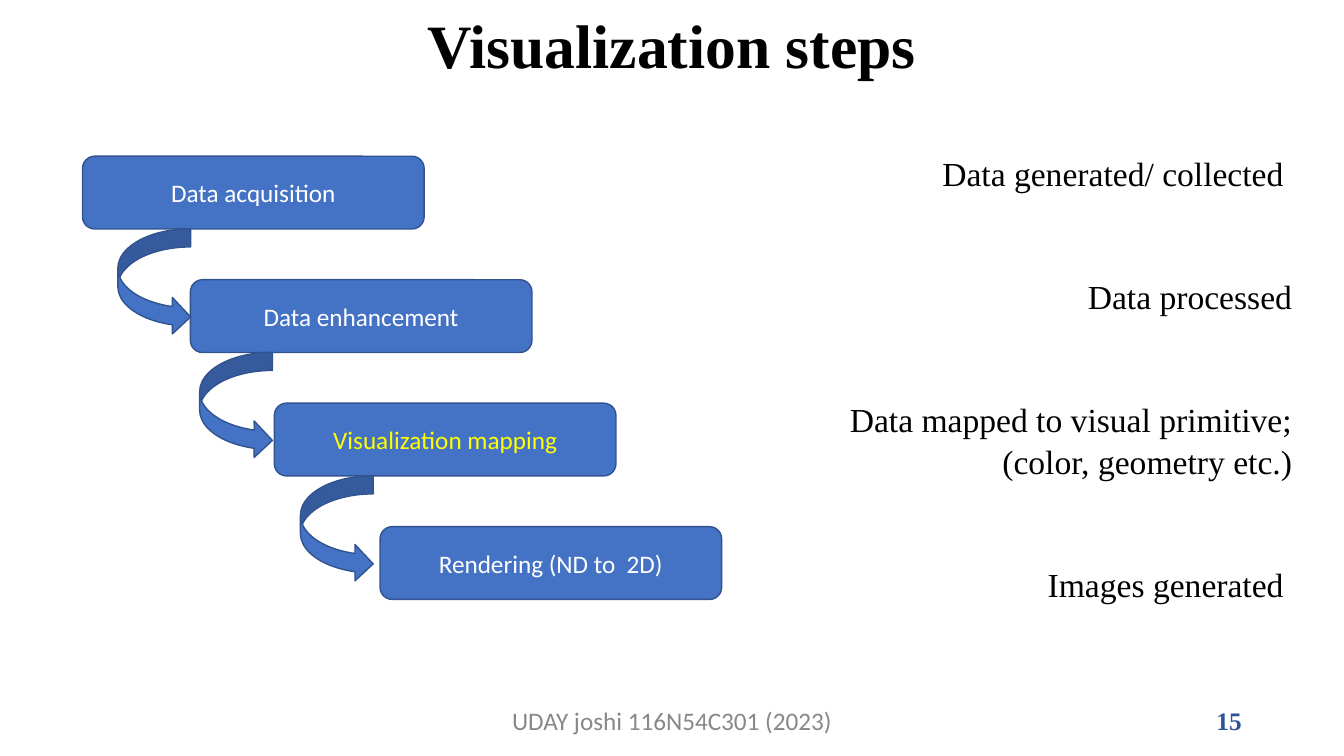
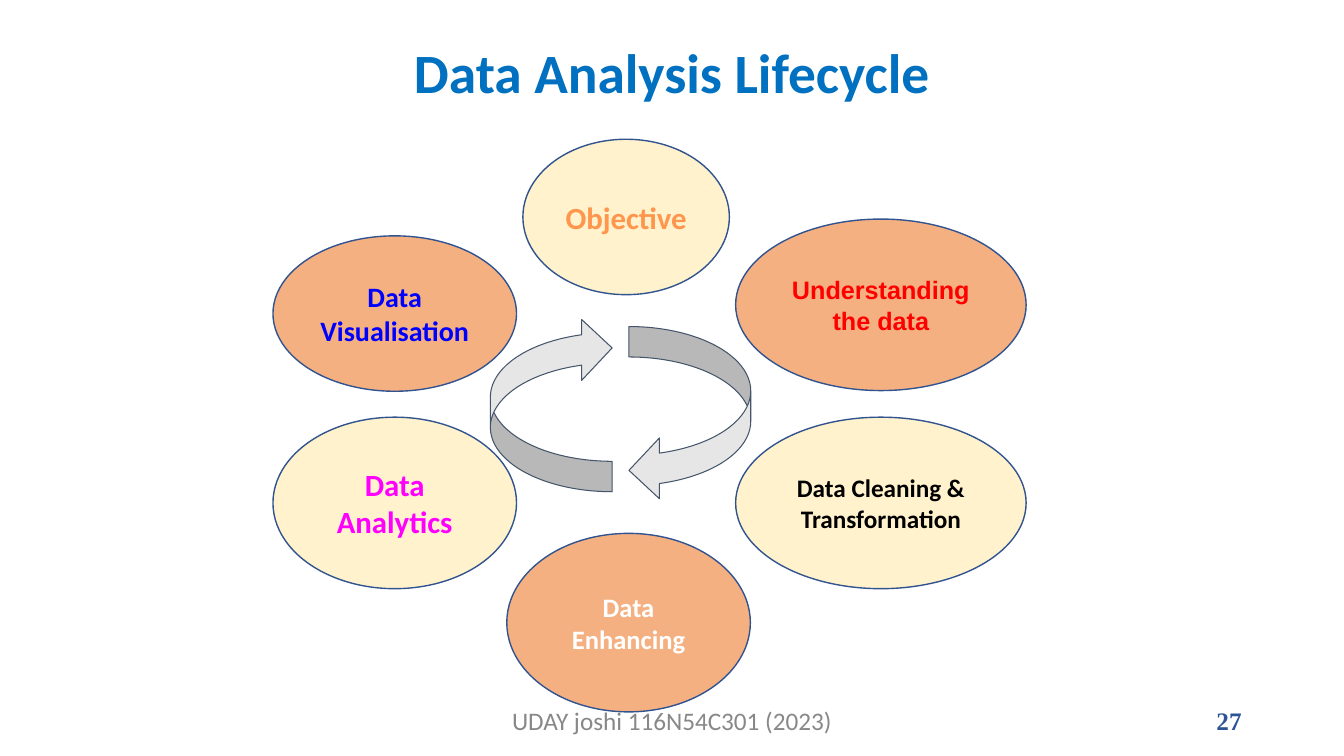
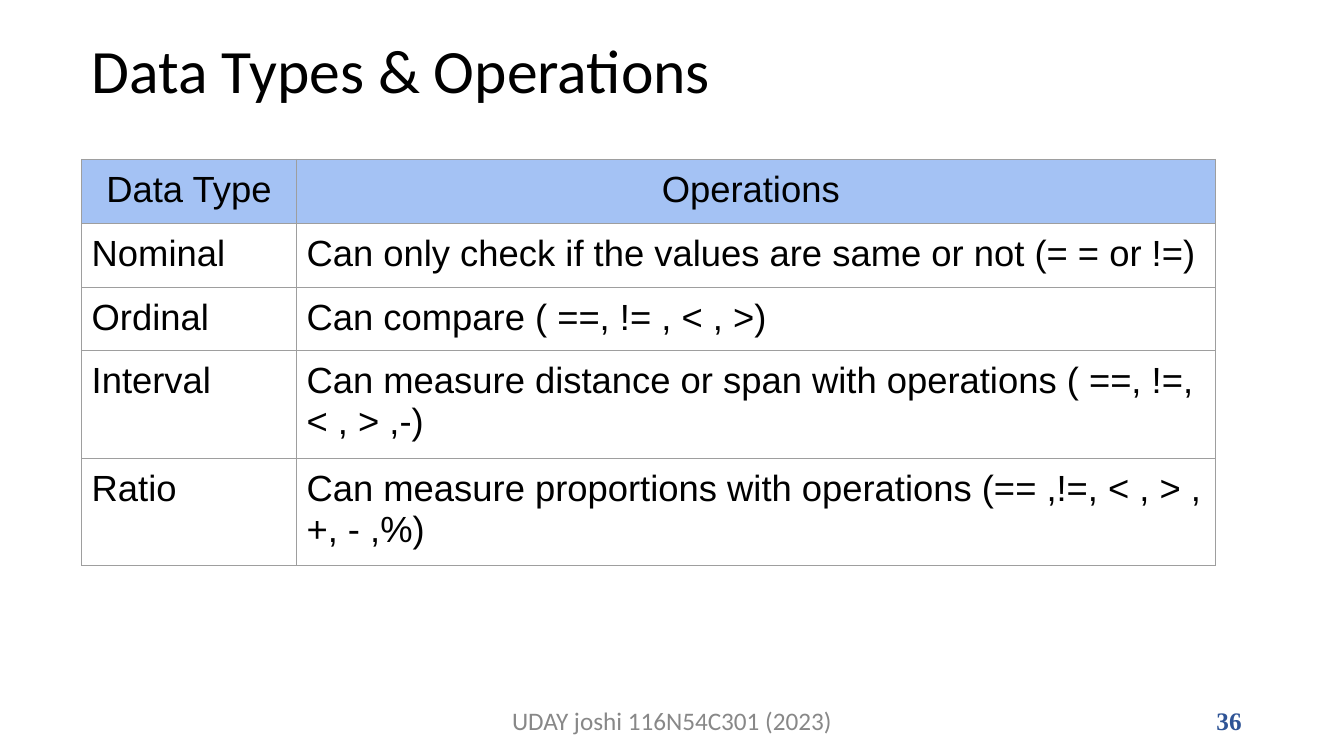
"""Build three slides on data visualization: steps, lifecycle and data types."""
from lxml.etree import SubElement as Sub
from pptx import Presentation
from pptx.dml.color import RGBColor
from pptx.enum.shapes import MSO_SHAPE as Kind
from pptx.enum.text import MSO_ANCHOR as Anchor, PP_ALIGN as Align
from pptx.oxml.ns import qn
from pptx.util import Pt

SANS, SERIF, PLAIN = "Calibri", "Times New Roman", "Arial"
BLACK, WHITE, BLUE, EDGE = "000000", "FFFFFF", "4472C4", "31538F"
CREAM, PEACH, PALE, SLATE = "FFF2CC", "F4B081", "E7E6E6", "44546A"


def paint(fill, hue):
    fill.solid()
    fill.fore_color.rgb = RGBColor.from_string(hue)


def write(frame, text, size=18, face=SANS, hue=BLACK, bold=False,
          align=Align.CENTER, anchor=Anchor.MIDDLE, lead=None, gap=0):
    frame.word_wrap = True
    frame.vertical_anchor = anchor
    for i, line in enumerate(text.split("\n")):
        para = frame.add_paragraph() if i else frame.paragraphs[0]
        para.alignment = align
        para.line_spacing = lead
        if i:
            para.space_before = Pt(gap)
        run = para.add_run()
        run.text = line
        run.font.size, run.font.name, run.font.bold = Pt(size), face, bold
        paint(run.font.fill, hue)


deck = Presentation()
deck.slide_width, deck.slide_height = Pt(960), Pt(540)

heads = [
    ("Visualization steps", 66, 7, 56, "15",
     dict(size=44, face=SERIF, bold=True)),
    ("Data Analysis Lifecycle", 66, 29, 50, "27",
     dict(size=39.6, hue="0070C0", bold=True)),
    ("Data Types & Operations", 58.5, 0, 104.4, "36",
     dict(size=44, align=Align.LEFT)),
]
for title, x, y, high, page, look in heads:
    slide = deck.slides.add_slide(deck.slide_layouts[6])
    texts = [
        (title, x, y, 828, high, dict(look, lead=0.9)),
        ("UDAY joshi 116N54C301 (2023)", 318, 500.5, 324, 28.8,
         dict(hue="888888")),
        (page, 678, 500.5, 216, 28.8,
         dict(face=SERIF, hue="2F5496", bold=True, align=Align.RIGHT)),
    ]
    for text, left, top, wide, tall, style in texts:
        box = slide.shapes.add_textbox(Pt(left), Pt(top), Pt(wide), Pt(tall))
        write(box.text_frame, text, **style)
steps, cycle, types = deck.slides

forms = []
names = ["Data acquisition", "Data enhancement", "Visualization mapping",
         "Rendering (ND to  2D)"]
for i, (name, x) in enumerate(zip(names, [59, 136, 196, 271.5])):
    hue = "FFFF00" if i == 2 else WHITE
    forms.append((steps, Kind.ROUNDED_RECTANGLE, x, 111.6 + 88.2 * i, 244, 52,
                  0, BLUE, EDGE, 1, name, dict(hue=hue)))
for i, x in enumerate([84.2, 142.6, 214.6]):
    forms.append((steps, Kind.CURVED_RIGHT_ARROW, x, 163.4 + 88.2 * i, 52, 76,
                  0, BLUE, EDGE, 1, "", {}))

stages = [
    ("Objective", 373.5, 99.5, 147.5, 111, CREAM, dict(size=22, hue="FF964E")),
    ("Data Analytics", 195, 298, 174, 122.5, CREAM,
     dict(size=22, hue="FF00FF")),
    ("Data Cleaning & Transformation", 525.5, 298, 207.5, 122.5, CREAM, {}),
    ("Understanding the data", 525.5, 156.5, 207.5, 122.5, PEACH,
     dict(face=PLAIN, hue="FF0000")),
    ("Data Enhancing", 362, 381, 174, 127.5, PEACH, dict(size=19, hue=WHITE)),
    ("Data Visualisation", 195, 168.5, 174, 111, PEACH,
     dict(size=20, hue="0000FF")),
]
for name, x, y, wide, tall, fill, look in stages:
    forms.append((cycle, Kind.OVAL, x, y, wide, tall, 0, fill, EDGE, 1, name,
                  dict(look, bold=True)))
for x, y, turn in [(430.5, 252, 90), (331.5, 245.5, 270)]:
    forms.append((cycle, Kind.CURVED_DOWN_ARROW, x, y, 124.5, 87, turn,
                  PALE, SLATE, 0.75, "", {}))

for slide, kind, x, y, wide, tall, turn, fill, edge, line, text, look in forms:
    form = slide.shapes.add_shape(kind, Pt(x), Pt(y), Pt(wide), Pt(tall))
    form.shadow.inherit = False
    form.rotation = turn
    paint(form.fill, fill)
    paint(form.line.fill, edge)
    form.line.width = Pt(line)
    if text:
        write(form.text_frame, text, **look)

notes = ["Data generated/ collected ", "Data processed",
         "Data mapped to visual primitive; (color, geometry etc.)",
         "Images generated "]
box = steps.shapes.add_textbox(Pt(588), Pt(104.4), Pt(342), Pt(327))
write(box.text_frame, "\n".join(notes), size=24, face=SERIF,
      align=Align.RIGHT, anchor=Anchor.TOP, lead=1.05, gap=57.6)

rows = [
    ("Data Type", "Operations "),
    ("Nominal", "Can only check if the values are same or not (= = or !=)"),
    ("Ordinal", "Can compare ( ==, != , < , >)"),
    ("Interval",
     "Can measure distance or span with operations ( ==, !=, < , > ,-)"),
    ("Ratio",
     "Can measure proportions with operations (== ,!=, < , > ,+, - ,%)"),
]
table = types.shapes.add_table(5, 2, Pt(58.3), Pt(113.8), Pt(810),
                               Pt(275.5)).table
table.first_row = table.horz_banding = False
for col, wide in zip(table.columns, [153.5, 656.5]):
    col.width = Pt(wide)
for r, row in enumerate(rows):
    table.rows[r].height = Pt(43.5 if r < 3 else 72.5)
    for c, text in enumerate(row):
        cell = table.cell(r, c)
        cell.margin_left = cell.margin_right = Pt(7.2)
        cell.margin_top = cell.margin_bottom = Pt(7.2)
        write(cell.text_frame, text, size=26, face=PLAIN, anchor=Anchor.TOP,
              align=Align.LEFT if r else Align.CENTER)
        props = cell._tc.get_or_add_tcPr()
        for side in ["lnL", "lnR", "lnT", "lnB"]:
            rule = Sub(props, qn("a:" + side), w=str(Pt(0.75)))
            Sub(Sub(rule, qn("a:solidFill")), qn("a:srgbClr"), val="9E9E9E")
        if r:
            cell.fill.background()
        else:
            paint(cell.fill, "A4C2F4")

deck.save("out.pptx")
